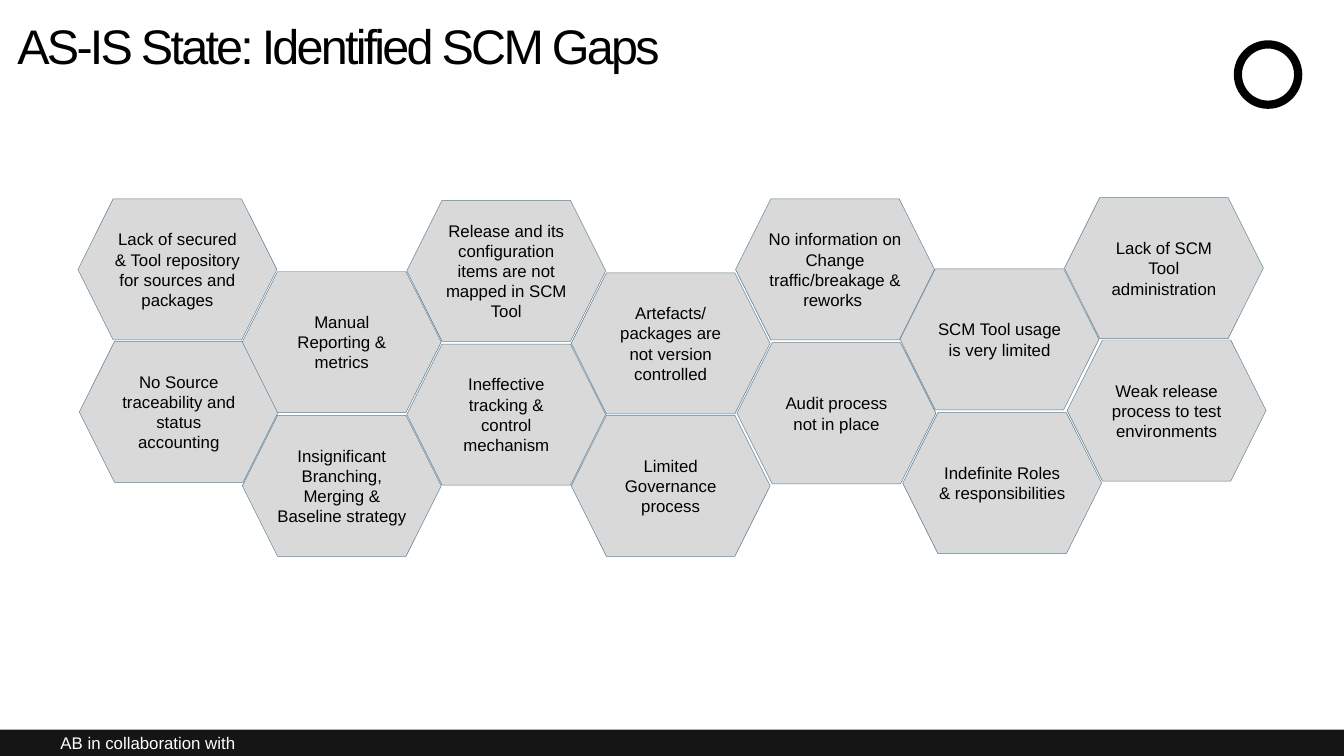
"""Build the slide of identified SCM gaps as a honeycomb of hexagons."""
from dataclasses import dataclass

from pptx import Presentation
from pptx.dml.color import RGBColor
from pptx.enum.shapes import MSO_SHAPE
from pptx.enum.text import MSO_ANCHOR, PP_ALIGN
from pptx.util import Inches, Pt

RECTANGLE, HEXAGON, DONUT = MSO_SHAPE.RECTANGLE, MSO_SHAPE.HEXAGON, MSO_SHAPE.DONUT
TOP, MIDDLE = MSO_ANCHOR.TOP, MSO_ANCHOR.MIDDLE
LEFT, CENTER = PP_ALIGN.LEFT, PP_ALIGN.CENTER

COLORS = {
    "ink": "000000",
    "paper": "FFFFFF",
    "footer": "151515",
    "cell": "D9D9D9",
    "edge": "5B7E96",
}
FONT = "Arial"
SLIDE_WIDTH, SLIDE_HEIGHT = 10, 10 * 9 / 16
CELL_WIDTH, CELL_HEIGHT = 1.48, 1.05
FIRST_LEFT, COLUMN_STEP = 0.58, 7.34 / 6
INSET = 0.05


@dataclass(frozen=True)
class Gap:
    text: str
    side_inset: float = INSET


@dataclass(frozen=True)
class Column:
    top: float
    drop: float
    drift: float
    gaps: tuple[Gap, Gap]


COLUMNS = (
    Column(1.48, 1.06, 0.01, (
        Gap("Lack of secured & Tool repository for sources and packages"),
        Gap("No Source traceability and status accounting"))),
    Column(2.02, 1.07, 0, (
        Gap("Manual Reporting & metrics"),
        Gap("Insignificant Branching, Merging & Baseline strategy", 0))),
    Column(1.49, 1.07, 0, (
        Gap("Release and its configuration items are not mapped in SCM Tool"),
        Gap("Ineffective tracking & control mechanism"))),
    Column(2.03, 1.06, 0, (
        Gap("Artefacts/packages are not version controlled"),
        Gap("Limited Governance process"))),
    Column(1.48, 1.07, 0.01, (
        Gap("No information on Change traffic/breakage & reworks ", 0),
        Gap("Audit process not in place"))),
    Column(2, 1.07, 0.02, (
        Gap("SCM Tool usage is very limited"),
        Gap("Indefinite Roles & responsibilities"))),
    Column(1.47, 1.06, 0.02, (
        Gap("Lack of SCM Tool administration"),
        Gap("Weak release process to test environments"))),
)


def color(name: str) -> RGBColor:
    """Return the named colour."""
    return RGBColor.from_string(COLORS[name])


def write(box, text: str, size: float, ink: str = "ink", align=LEFT,
          anchor=MIDDLE, side: float = 0, end: float = 0):
    """Fill a box with one paragraph and return its run."""
    frame = box.text_frame
    layout = {
        "word_wrap": True,
        "vertical_anchor": anchor,
        "margin_left": Inches(side),
        "margin_right": Inches(side),
        "margin_top": Inches(end),
        "margin_bottom": Inches(end),
    }
    for name, value in layout.items():
        setattr(frame, name, value)
    para = frame.paragraphs[0]
    para.alignment = align
    span = para.add_run()
    span.text = text
    for name, value in {"name": FONT, "size": Pt(size)}.items():
        setattr(span.font, name, value)
    span.font.color.rgb = color(ink)
    return span


def add_shape(page, kind, left: float, top: float, width: float,
              height: float, fill: str, edge: str = ""):
    """Add a flat preset shape, outlined when an edge colour is named."""
    shape = page.shapes.add_shape(
        kind, Inches(left), Inches(top), Inches(width), Inches(height))
    shape.shadow.inherit = False
    shape.fill.solid()
    shape.fill.fore_color.rgb = color(fill)
    if edge:
        shape.line.color.rgb = color(edge)
        shape.line.width = Pt(0.25)
    else:
        shape.line.fill.background()
    return shape


def add_text(page, left: float, top: float, width: float, height: float,
             text: str, size: float, ink: str, anchor):
    """Add a text box and return its run."""
    box = page.shapes.add_textbox(
        Inches(left), Inches(top), Inches(width), Inches(height))
    return write(box, text, size, ink, anchor=anchor)


def add_column(page, index: int, column: Column) -> None:
    """Add the two stacked hexagons of one column."""
    for row, gap in enumerate(column.gaps):
        left = FIRST_LEFT + index * COLUMN_STEP + row * column.drift
        cell = add_shape(page, HEXAGON, left, column.top + row * column.drop,
                         CELL_WIDTH, CELL_HEIGHT, "cell", "edge")
        write(cell, gap.text, 9, align=CENTER, side=gap.side_inset, end=INSET)


def main() -> None:
    """Build and save the deck."""
    deck = Presentation()
    deck.slide_width, deck.slide_height = Inches(SLIDE_WIDTH), Inches(SLIDE_HEIGHT)
    page = deck.slides.add_slide(deck.slide_layouts[6])
    add_shape(page, RECTANGLE, 0, 5.43, SLIDE_WIDTH, 0.2, "footer")
    add_text(page, 0.45, 5.43, 6.89, 0.2, "AB in collaboration with", 9, "paper", MIDDLE)
    badge = add_shape(page, DONUT, 9.18, 0.3, 0.51, 0.51, "ink")
    badge.adjustments[0] = 0.12
    title = add_text(page, 0.13, 0.12, 8.53, 0.61,
                     "AS-IS State: Identified SCM Gaps", 26, "ink", TOP)
    title.font._element.set("spc", "-150")
    for index, column in enumerate(COLUMNS):
        add_column(page, index, column)
    deck.save("out.pptx")


if __name__ == "__main__":
    main()
